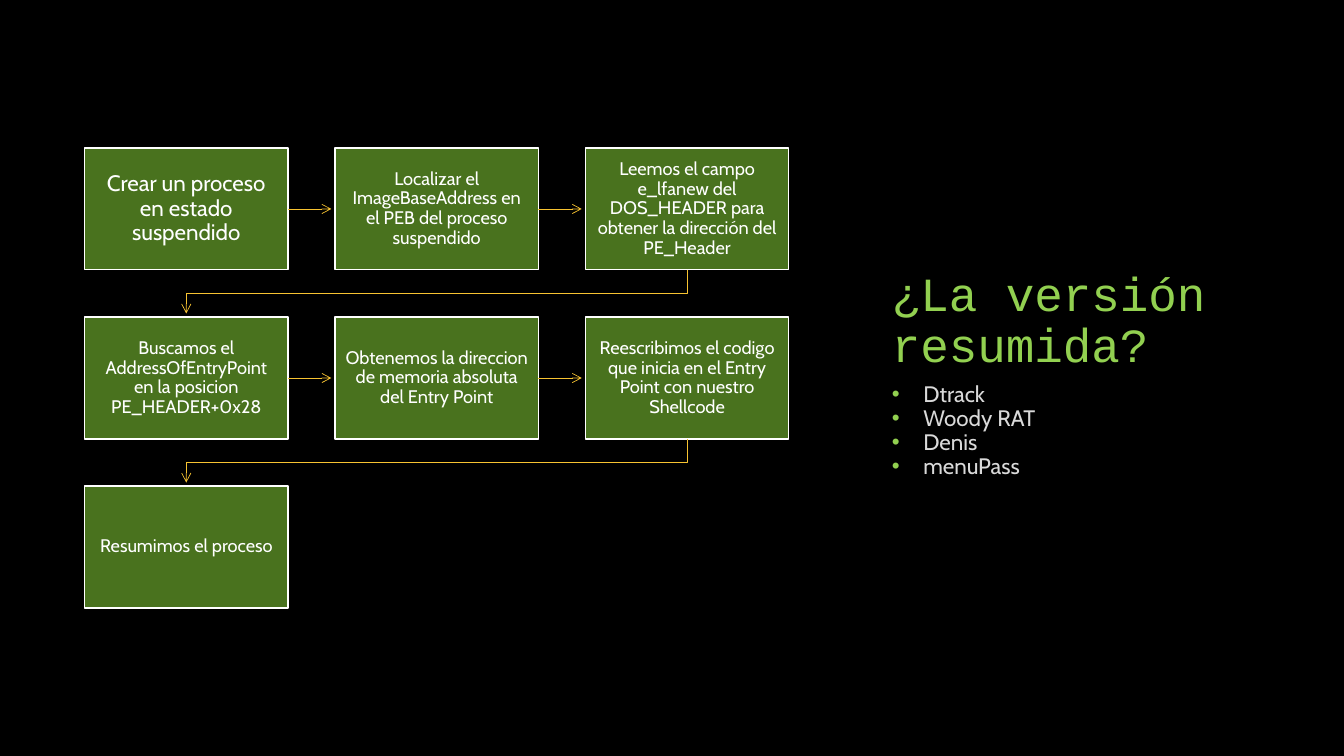
from lxml.etree import SubElement
from pptx import Presentation
from pptx.dml.color import RGBColor
from pptx.enum.shapes import MSO_CONNECTOR, MSO_SHAPE
from pptx.enum.text import MSO_ANCHOR, PP_ALIGN
from pptx.oxml.ns import qn
from pptx.util import Cm, Pt

COLORS = {
    "background": "000000",
    "title": "92D050",
    "bullet": "92D050",
    "body": "D9D9D9",
    "step": "49721E",
    "white": "FFFFFF",
    "arrow": "F7C331",
}
STEPS = [
    "Crear un proceso en estado suspendido",
    "Localizar el ImageBaseAddress en el PEB del proceso suspendido",
    "Leemos el campo e_lfanew del DOS_HEADER para obtener la dirección del PE_Header",
    "Buscamos el AddressOfEntryPoint en la posicion PE_HEADER+0x28",
    "Obtenemos la direccion de memoria absoluta del Entry Point",
    "Reescribimos el codigo que inicia en el Entry Point con nuestro Shellcode",
    "Resumimos el proceso",
]
MALWARE = ["Dtrack", "Woody RAT", "Denis", "menuPass"]
COLUMNS = 3
LEFT, TOP = 2.13, 3.73
STEP_WIDTH, STEP_HEIGHT = 5.13, 3.07
PITCH_X, PITCH_Y = 6.31, 4.26
ARROW_GAP = 0.09


class FlowSlide:
    """Draw styled elements on the current slide."""

    def __init__(self, slide):
        self.slide = slide
        slide.background.fill.solid()
        slide.background.fill.fore_color.rgb = self.color("background")

    def color(self, name):
        return RGBColor.from_string(COLORS[name])

    def style_text(self, frame, text, size, color, font="Cabin"):
        frame.word_wrap = True
        frame.text = text
        for paragraph in frame.paragraphs:
            paragraph.line_spacing = 0.9
            for run in paragraph.runs:
                run.font.size = Pt(size)
                run.font.name = font
                run.font.color.rgb = self.color(color)

    def textbox(self, left, top, width, height):
        return self.slide.shapes.add_textbox(
            Cm(left), Cm(top), Cm(width), Cm(height)).text_frame

    def title(self, text, *area):
        frame = self.textbox(*area)
        frame.vertical_anchor = MSO_ANCHOR.BOTTOM
        self.style_text(frame, text, 34, "title", "Courier New")

    def bullets(self, items, *area):
        frame = self.textbox(*area)
        self.style_text(frame, "\n".join(items), 16, "body")
        for paragraph in frame.paragraphs:
            properties = paragraph._p.get_or_add_pPr()
            properties.set("marL", str(Cm(0.79)))
            properties.set("indent", str(-Cm(0.79)))
            bullet_color = SubElement(properties, qn("a:buClr"))
            SubElement(bullet_color, qn("a:srgbClr"), val=COLORS["bullet"])
            SubElement(properties, qn("a:buFont"), typeface="Arial")
            SubElement(properties, qn("a:buChar"), char="•")

    def step(self, text, left, top, size):
        box = self.slide.shapes.add_shape(
            MSO_SHAPE.RECTANGLE, Cm(left), Cm(top), Cm(STEP_WIDTH), Cm(STEP_HEIGHT))
        box.shadow.inherit = False
        box.fill.solid()
        box.fill.fore_color.rgb = self.color("step")
        box.line.color.rgb = self.color("white")
        box.line.width = Pt(1)
        frame = box.text_frame
        frame.margin_left = frame.margin_right = Cm(0.25)
        frame.margin_top = frame.margin_bottom = Cm(0.25)
        frame.vertical_anchor = MSO_ANCHOR.MIDDLE
        self.style_text(frame, text, size, "white")
        frame.paragraphs[0].alignment = PP_ALIGN.CENTER

    def arrow_line(self, line):
        line.color.rgb = self.color("arrow")
        line.width = Pt(0.5)
        SubElement(line._get_or_add_ln(), qn("a:tailEnd"), type="arrow")

    def arrow_right(self, left, top):
        y = Cm(top + STEP_HEIGHT / 2)
        arrow = self.slide.shapes.add_connector(
            MSO_CONNECTOR.STRAIGHT,
            Cm(left + STEP_WIDTH), y, Cm(left + PITCH_X - ARROW_GAP), y)
        self.arrow_line(arrow.line)
        SubElement(arrow._element.spPr, qn("a:effectLst"))

    def arrow_next_row(self, left, top):
        start_x = Cm(left + STEP_WIDTH / 2)
        end_x = Cm(LEFT + STEP_WIDTH / 2)
        middle_y = Cm(top + (STEP_HEIGHT + PITCH_Y) / 2)
        route = self.slide.shapes.build_freeform(start_x, Cm(top + STEP_HEIGHT))
        route.add_line_segments(
            [(start_x, middle_y), (end_x, middle_y),
             (end_x, Cm(top + PITCH_Y - ARROW_GAP))], close=False)
        arrow = route.convert_to_shape()
        arrow.shadow.inherit = False
        arrow.fill.background()
        self.arrow_line(arrow.line)


def main():
    deck = Presentation()
    deck.slide_width, deck.slide_height = Cm(33.87), Cm(19.05)
    flow = FlowSlide(deck.slides.add_slide(deck.slide_layouts[6]))
    flow.title("¿La versión resumida?", 22.23, 4.45, 8.66, 5.08)
    flow.bullets(MALWARE, 22.23, 9.53, 8.69, 5.08)
    for index, text in enumerate(STEPS):
        row, column = divmod(index, COLUMNS)
        left, top = LEFT + column * PITCH_X, TOP + row * PITCH_Y
        flow.step(text, left, top, 16 if index == 0 else 13)
        if index == len(STEPS) - 1:
            continue
        if column < COLUMNS - 1:
            flow.arrow_right(left, top)
        else:
            flow.arrow_next_row(left, top)
    deck.save("out.pptx")


if __name__ == "__main__":
    main()
